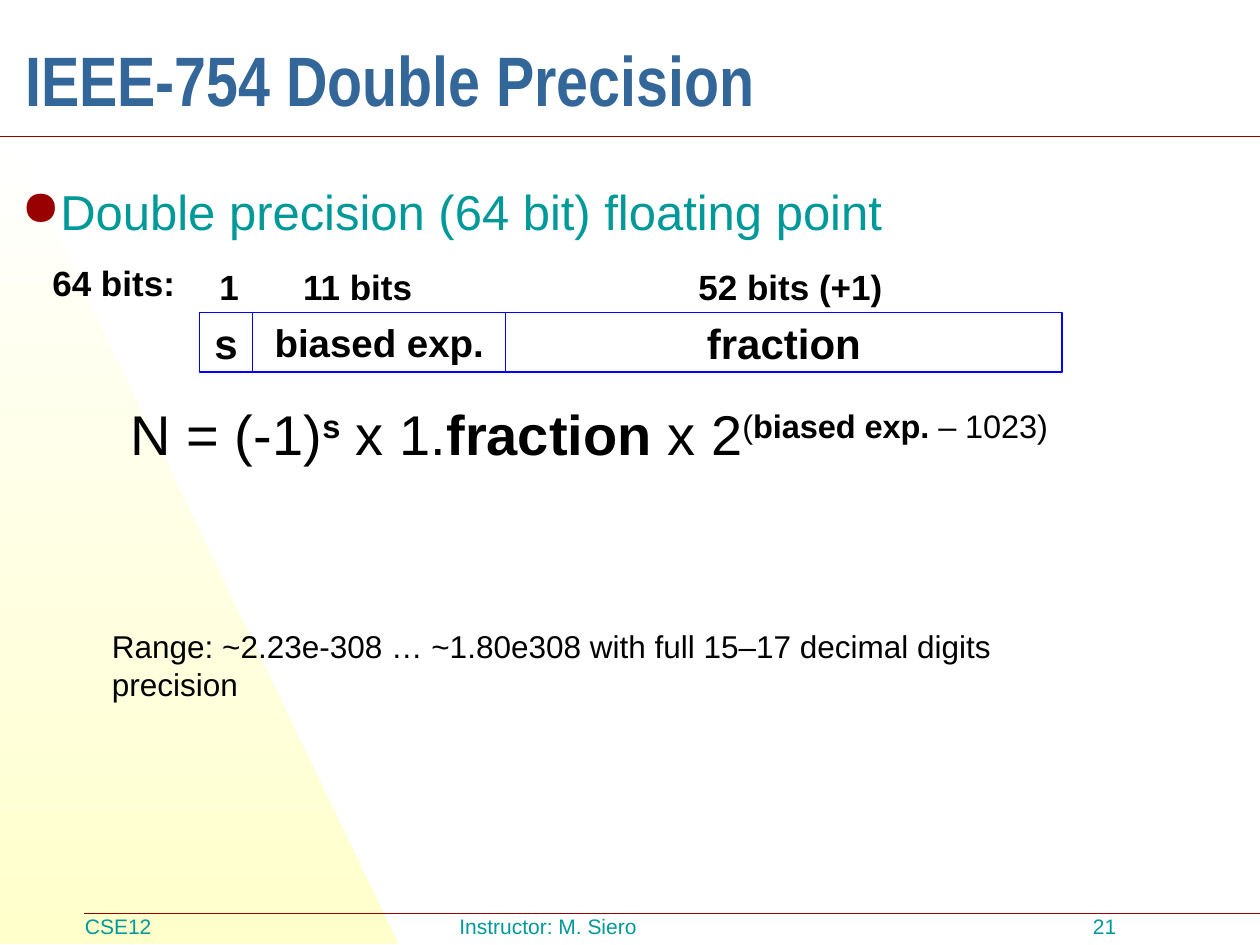
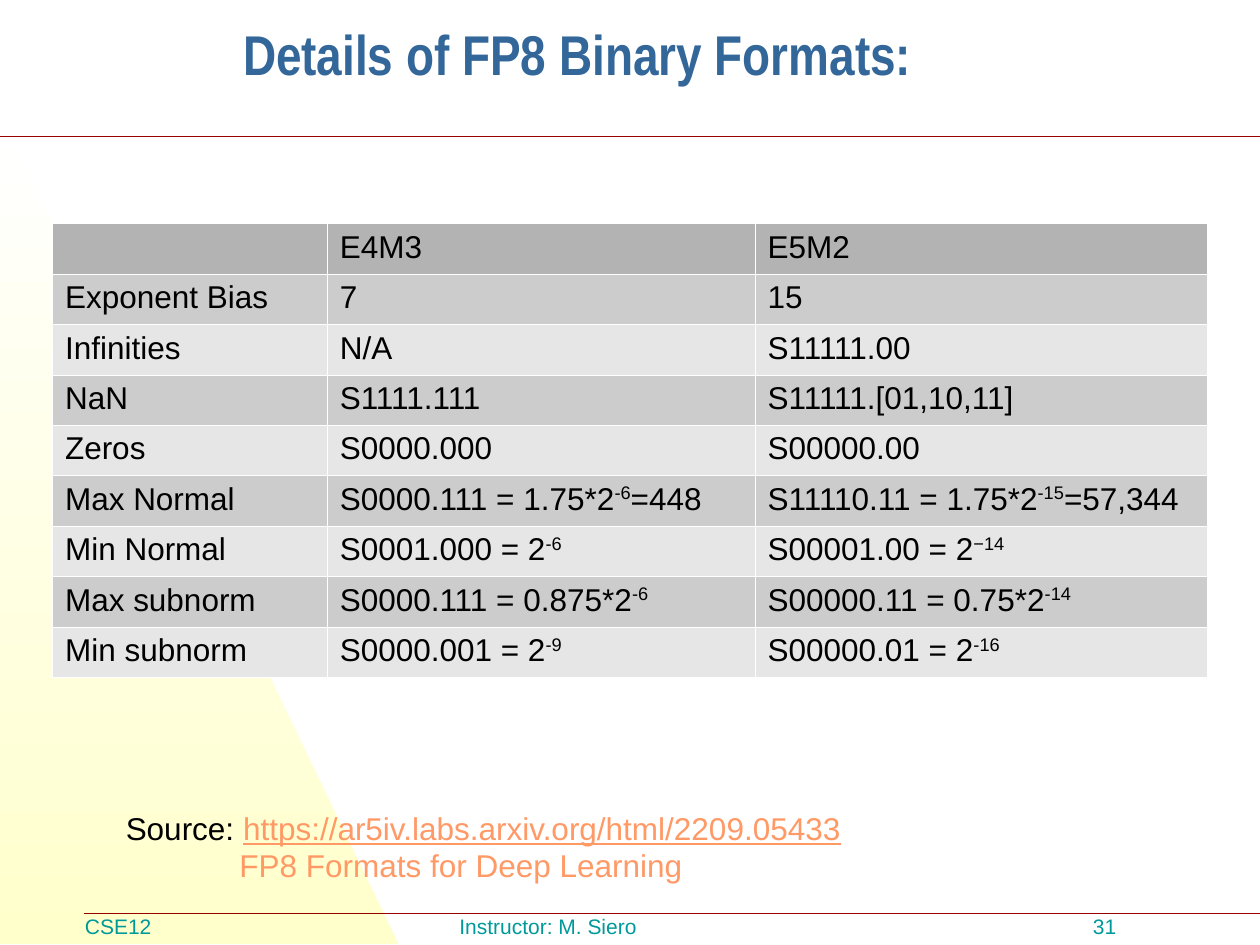
from itertools import accumulate

from lxml import etree
from pptx import Presentation
from pptx.dml.color import RGBColor
from pptx.enum import shapes, text
from pptx.oxml import ns
from pptx.util import Pt

WHITE, CREAM, RED, BLUE = "FFFFFF", "FFFFCC", "990000", "0000FF"
TEAL, STEEL, ORANGE, INK, BLACK = "009999", "336699", "FF9966", "010000", "000000"
HEAD_GRAY, DARK_GRAY, LIGHT_GRAY = "B3B3B3", "CCCCCC", "E6E6E6"
WIDTH, HEIGHT = 720, 540
MIDDLE, CENTER = text.MSO_ANCHOR.MIDDLE, text.PP_ALIGN.CENTER

FIELDS = [
    ("s", 24, 30.5, "1", 4.3),
    ("biased exp.", 22, 144.5, "11 bits", 21.6),
    ("fraction", 24, 318, "52 bits (+1)", 103),
]
FORMULA = "N = (-1)^_s_^ x 1._fraction_ x 2^(_biased exp._ – 1023)^"
FORMATS = [
    ("", "E4M3", "E5M2"),
    ("Exponent Bias", "7", "15"),
    ("Infinities", "N/A", "S11111.00"),
    ("NaN", "S1111.111", "S11111.[01,10,11]"),
    ("Zeros", "S0000.000", "S00000.00"),
    ("Max Normal", "S0000.111 = 1.75*2^-6^=448", "S11110.11 = 1.75*2^-15^=57,344"),
    ("Min Normal", "S0001.000 = 2^-6", "S00001.00 = 2^−14"),
    ("Max subnorm", "S0000.111 = 0.875*2^-6", "S00000.11 = 0.75*2^-14"),
    ("Min subnorm", "S0000.001 = 2^-9", "S00000.01 = 2^-16"),
]


def color(value):
    return RGBColor.from_string(value)


def points(*values):
    return [Pt(value) for value in values]


def style(para, size, ink, bold=False, face="Arial"):
    font = para.font
    font.name, font.size, font.bold = face, Pt(size), bold
    font.color.rgb = color(ink)


def add_spans(para, markup, rise=30):
    for i, level in enumerate(markup.split("^")):
        for j, words in enumerate(level.split("_")):
            if words:
                span = para.add_run()
                span.text = words
                if j % 2:
                    span.font.bold = True
                if i % 2:
                    span._r.get_or_add_rPr().set("baseline", str(rise * 1000))


def indent(para, left, first=0):
    props = para._p.get_or_add_pPr()
    props.set("marL", str(Pt(left)))
    props.set("indent", str(Pt(first)))


def add_text(page, box, words, size, ink, bold=False, face="Arial",
             anchor=text.MSO_ANCHOR.TOP, inset=(7.2, 3.6)):
    frame = page.shapes.add_textbox(*points(*box)).text_frame
    frame.word_wrap = True
    frame.vertical_anchor = anchor
    frame.margin_left = frame.margin_right = Pt(inset[0])
    frame.margin_top = frame.margin_bottom = Pt(inset[1])
    para = frame.paragraphs[0]
    add_spans(para, words)
    style(para, size, ink, bold, face)
    return frame


def add_rule(page, left, top):
    rule = page.shapes.add_connector(
        shapes.MSO_CONNECTOR.STRAIGHT, *points(left, top, WIDTH, top))
    rule.line.color.rgb = color(RED)
    rule.line.width = Pt(1)
    etree.SubElement(rule._element.spPr, ns.qn("a:effectLst"))


def add_wedge(page, box):
    wedge = page.shapes.add_shape(shapes.MSO_SHAPE.RIGHT_TRIANGLE, *points(*box))
    wedge.shadow.inherit = False
    wedge.line.fill.background()
    wedge.fill.gradient()
    wedge.fill.gradient_angle = 270
    for stop, shade in zip(wedge.fill.gradient_stops, (WHITE, CREAM)):
        stop.color.rgb = color(shade)
    for stop, position in zip(wedge.fill.gradient_stops, (0, 1)):
        stop.position = position


def add_footer(page, box, number):
    left, top, width, height = box
    add_rule(page, left + 6.5, top + 3.6)
    for offset, words in ((0, "CSE12"), (214, "Instructor: M. Siero"), (576, number)):
        add_text(page, (left + offset, top, 150 if offset < 576 else 53, height),
                 words, 12, TEAL)


def add_page(deck, title, title_box, title_size, number):
    page = deck.slides.add_slide(deck.slide_layouts[6])
    page.background.fill.solid()
    page.background.fill.fore_color.rgb = color(WHITE)
    add_wedge(page, (0, 66.5, 227.5, 473))
    add_rule(page, 0, 78)
    add_footer(page, (41.5, 518.4, WIDTH - 41.5, 21.6), number)
    frame = add_text(page, title_box, title, title_size, STEEL, True, "Arial Narrow",
                     text.MSO_ANCHOR.BOTTOM, (14.4, 3.6))
    frame.paragraphs[0].line_spacing = 0.7
    return page


def add_bullet(page, box, words):
    frame = page.shapes.add_textbox(*points(*box)).text_frame
    frame.word_wrap = True
    para = frame.paragraphs[0]
    para.text = words
    para.line_spacing = 1.2
    indent(para, 27.4, -22.3)
    props = para._p.get_or_add_pPr()
    shade = etree.SubElement(props, ns.qn("a:buClr"))
    etree.SubElement(shade, ns.qn("a:srgbClr"), val=RED)
    etree.SubElement(props, ns.qn("a:buChar"), char="●")
    style(para, 28, TEAL)


def add_bit_fields(page, box):
    left, top, height = box
    starts = accumulate((field[2] for field in FIELDS), initial=left)
    for start, (name, size, width, bits, offset) in zip(starts, FIELDS):
        field = page.shapes.add_shape(
            shapes.MSO_SHAPE.RECTANGLE, *points(start, top, width, height))
        field.shadow.inherit = False
        field.fill.background()
        field.line.color.rgb = color(BLUE)
        field.line.width = Pt(0.75)
        field.text_frame.vertical_anchor = MIDDLE
        para = field.text_frame.paragraphs[0]
        para.text = name
        para.alignment = CENTER
        style(para, size, INK, True)
        add_text(page, (start + offset, top - 30.4, max(30, width - offset), 31),
                 bits, 20, INK, True)
    total = add_text(page, (left - 96, top - 32.4, 94, 31), "64 bits:", 20, INK, True,
                     anchor=MIDDLE)
    total.paragraphs[0].alignment = CENTER


def set_borders(cell):
    props = cell._tc.get_or_add_tcPr()
    for index, side in enumerate(("lnL", "lnR", "lnT", "lnB")):
        line = etree.Element(ns.qn(f"a:{side}"), w=str(Pt(0.06)))
        fill = etree.SubElement(line, ns.qn("a:solidFill"))
        etree.SubElement(fill, ns.qn("a:srgbClr"), val=WHITE)
        props.insert(index, line)


def add_format_table(page, box, widths):
    table = page.shapes.add_table(len(FORMATS), len(widths), *points(*box)).table
    table.first_row = table.horz_banding = False
    for column, width in zip(table.columns, widths):
        column.width = Pt(width)
    for i, row in enumerate(FORMATS):
        table.rows[i].height = Pt(box[3] / len(FORMATS))
        shade = HEAD_GRAY if i == 0 else DARK_GRAY if i % 2 else LIGHT_GRAY
        for j, words in enumerate(row):
            cell = table.cell(i, j)
            cell.fill.solid()
            cell.fill.fore_color.rgb = color(shade)
            set_borders(cell)
            para = cell.text_frame.paragraphs[0]
            add_spans(para, words, 33)
            style(para, 18, BLACK)


def add_source(page, box):
    frame = add_text(page, box, "Source: ", 18, BLACK)
    link = frame.paragraphs[0].add_run()
    link.text = "https://ar5iv.labs.arxiv.org/html/2209.05433"
    link.font.underline = True
    link.font.color.rgb = color(ORANGE)
    para = frame.add_paragraph()
    para.text = "FP8 Formats for Deep Learning"
    indent(para, 65)
    style(para, 18, ORANGE)


def build_double_precision(deck):
    page = add_page(deck, "IEEE-754 Double Precision", (0, 0, WIDTH, 71.3), 40, "21")
    add_bullet(page, (0, 93.6, WIDTH, 163), "Double precision (64 bit) floating point")
    add_bit_fields(page, (114, 178.6, 34))
    add_text(page, (67.7, 224.6, 571, 45), FORMULA, 32, INK)
    add_text(page, (54, 352, 597.6, 32.4),
             "Range: ~2.23e-308 … ~1.80e308 with full 15–17 decimal digits precision",
             18, BLACK, inset=(10, 6.5))


def build_fp8_formats(deck):
    page = add_page(deck, "Details of FP8 Binary Formats:",
                    (124.5, 0, WIDTH - 124.5, 51.8), 32, "31")
    add_source(page, (64.8, 458.6, 518.4, 47.5))
    add_format_table(page, (30, 127.6, 660, 259.2), (157, 244.5, 258.5))


def main():
    deck = Presentation()
    deck.slide_width, deck.slide_height = points(WIDTH, HEIGHT)
    build_double_precision(deck)
    build_fp8_formats(deck)
    deck.save("out.pptx")


if __name__ == "__main__":
    main()
